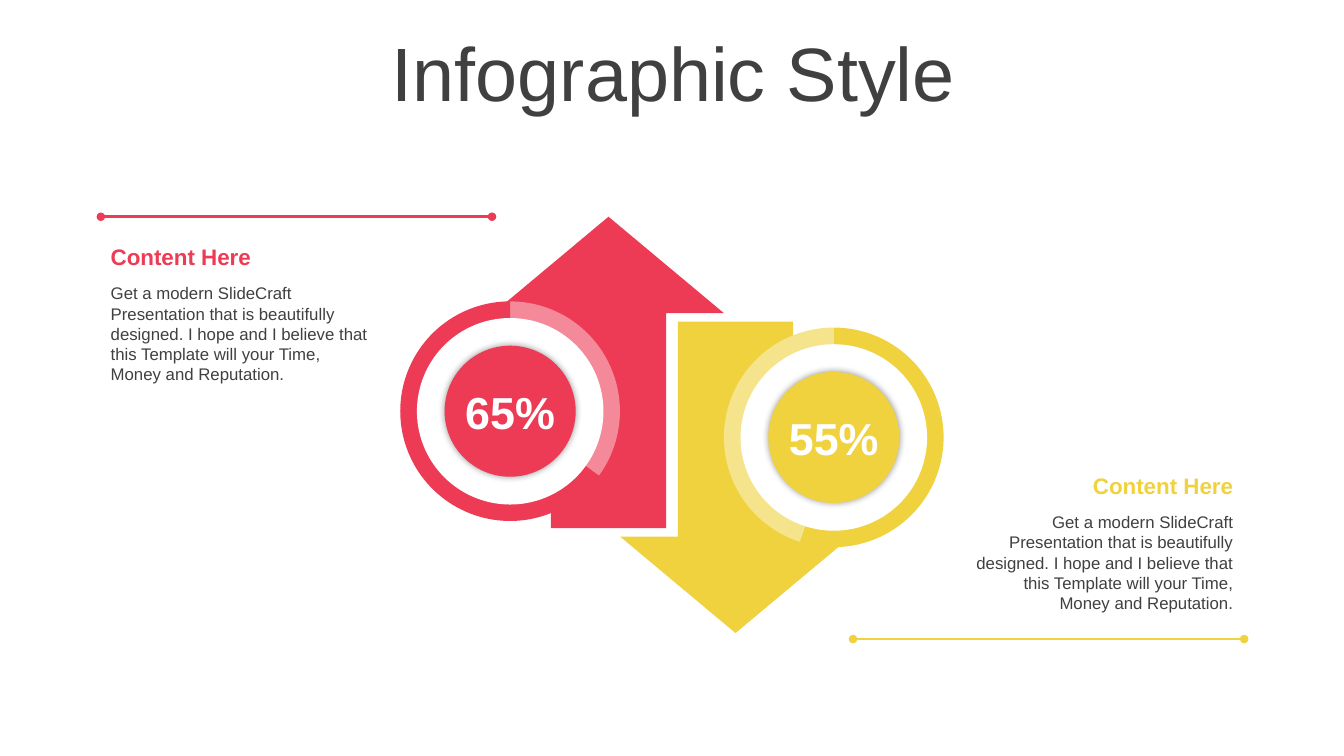
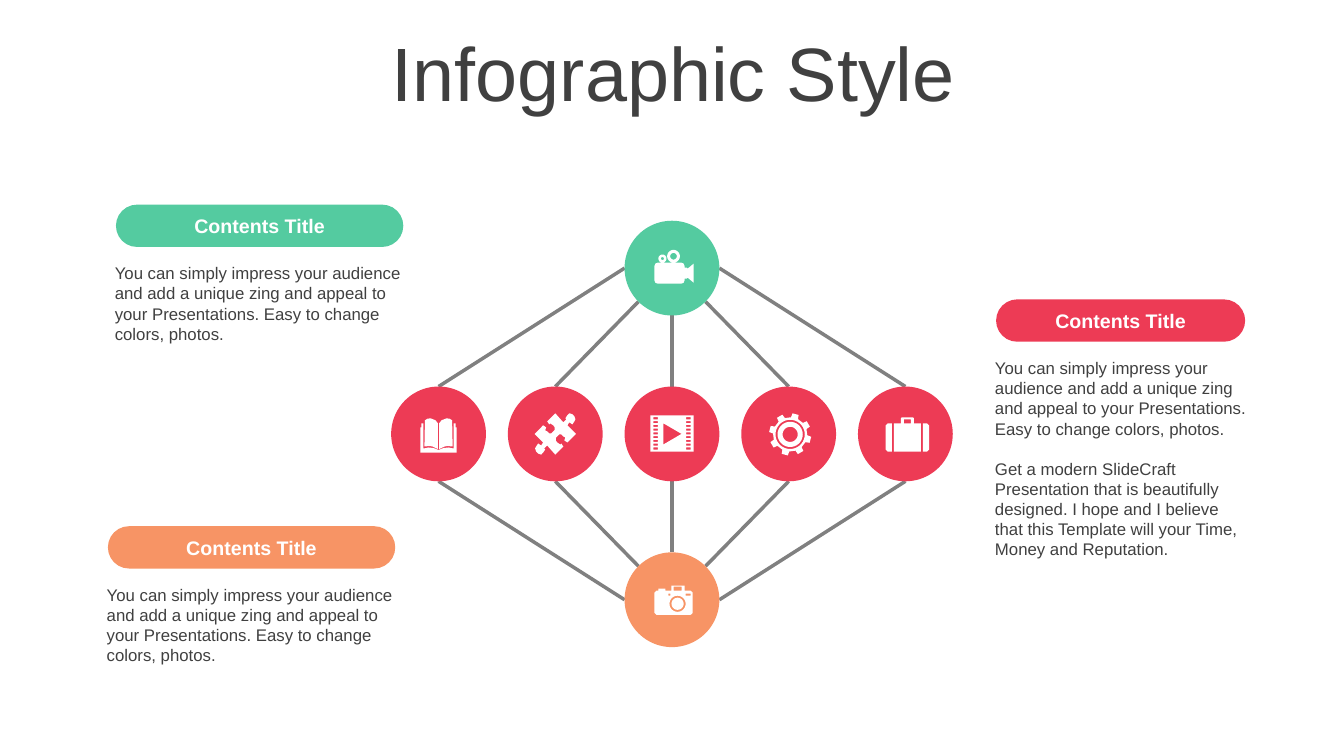
from math import cos, radians, sin

from lxml import etree
from pptx import Presentation
from pptx.chart.data import CategoryChartData
from pptx.dml.color import RGBColor
from pptx.enum.chart import XL_CHART_TYPE
from pptx.enum.shapes import MSO_CONNECTOR, MSO_SHAPE
from pptx.enum.text import MSO_ANCHOR, PP_ALIGN
from pptx.oxml import parse_xml
from pptx.oxml.ns import nsdecls, qn
from pptx.util import Inches, Pt

DOUGHNUT = XL_CHART_TYPE.DOUGHNUT
STRAIGHT = MSO_CONNECTOR.STRAIGHT
OVAL, PILL = MSO_SHAPE.OVAL, MSO_SHAPE.ROUNDED_RECTANGLE
UP_ARROW, DOWN_ARROW = MSO_SHAPE.UP_ARROW, MSO_SHAPE.DOWN_ARROW
LEFT, CENTER, RIGHT = PP_ALIGN.LEFT, PP_ALIGN.CENTER, PP_ALIGN.RIGHT
TOP, MIDDLE = MSO_ANCHOR.TOP, MSO_ANCHOR.MIDDLE

FONT = "Arial"
RED, PALE_RED = "ED3B55", "F48999"
YELLOW, PALE_YELLOW = "F0D23F", "F6E48C"
GREEN, ORANGE = "54CBA0", "F79465"
WHITE, BLACK, INK, GREY = "FFFFFF", "000000", "404040", "808080"

MODERN = ("Get a modern SlideCraft Presentation that is beautifully designed. "
          "I hope and I believe that this Template will your Time, Money and Reputation.")
IMPRESS = ("You can simply impress your audience and add a unique zing and appeal "
           "to your Presentations. Easy to change colors, photos.")


def rgb(value):
    """Turn a hex string into a colour."""
    return RGBColor.from_string(value)


def write(tf, *lines, size=12, color=INK, bold=False, align=LEFT, anchor=TOP, gap=0):
    """Fill a text frame with one paragraph per line."""
    tf.word_wrap = True
    tf.vertical_anchor = anchor
    for i, line in enumerate(lines):
        p = tf.paragraphs[0] if i == 0 else tf.add_paragraph()
        p.alignment = align
        p.space_before = Pt(gap if i else 0)
        r = p.add_run()
        r.text = line
        r.font.name, r.font.size, r.font.bold = FONT, Pt(size), bold
        r.font.color.rgb = rgb(color)


def text_box(s, l, t, w, h, *lines, **fmt):
    """Add a formatted text box."""
    sp = s.shapes.add_textbox(Inches(l), Inches(t), Inches(w), Inches(h))
    write(sp.text_frame, *lines, **fmt)


def paint(sp, color):
    """Give a shape a flat fill without line or shadow."""
    sp.fill.solid()
    sp.fill.fore_color.rgb = rgb(color)
    sp.line.fill.background()
    sp.shadow.inherit = False


def add_shape(s, kind, l, t, w, h, color):
    """Add a flat preset shape."""
    sp = s.shapes.add_shape(kind, Inches(l), Inches(t), Inches(w), Inches(h))
    paint(sp, color)
    return sp


def disc(s, cx, cy, d, color):
    """Add a circle around a centre."""
    return add_shape(s, OVAL, cx - d / 2, cy - d / 2, d, d, color)


def add_line(s, x1, y1, x2, y2, color, width, dots=False):
    """Add a straight line, with round ends if dots is set."""
    sp = s.shapes.add_connector(STRAIGHT, Inches(x1), Inches(y1), Inches(x2), Inches(y2))
    sp.line.color.rgb = rgb(color)
    sp.line.width = Pt(width)
    spPr = sp._element.spPr
    if dots:
        for end in ("a:headEnd", "a:tailEnd"):
            etree.SubElement(spPr.find(qn("a:ln")), qn(end), type="oval")
    etree.SubElement(spPr, qn("a:effectLst"))


def new_slide(prs, title):
    """Add a slide with the shared title."""
    s = prs.slides.add_slide(prs.slide_layouts[5])
    sp = s.shapes.title
    sp.left, sp.top, sp.width, sp.height = (Inches(v) for v in (0.35, 0.37, 12.66, 0.79))
    write(sp.text_frame, title, size=54, align=CENTER, anchor=MIDDLE)
    sp.text_frame.paragraphs[0].line_spacing = 0.9
    return s


def ring_chart(s, cx, cy, w, h, values, colors):
    """Add a doughnut chart around a centre."""
    data = CategoryChartData()
    data.categories = ["1", "2"]
    data.add_series("Series 1", values)
    chart = s.shapes.add_chart(DOUGHNUT, Inches(cx - w / 2), Inches(cy - h / 2),
                               Inches(w), Inches(h), data).chart
    chart.has_legend = chart.has_title = False
    chart.font.name, chart.font.size = FONT, Pt(18)
    chart.font.color.rgb = rgb(BLACK)
    plot = chart.plots[0]
    plot.vary_by_categories = True
    for i, color in enumerate(colors):
        fmt = plot.series[0].points[i].format
        fmt.fill.solid()
        fmt.fill.fore_color.rgb = rgb(color)
        fmt.line.fill.background()
    area = chart._chartSpace.chart.plotArea
    next(area.iter(qn("c:holeSize"))).set("val", "86")
    for old in area.findall(qn("c:layout")):
        area.remove(old)
    d = 2.18
    box = {"x": (1 - d / w) / 2, "y": (1 - d / h) / 2, "w": d / w, "h": d / h}
    layout = etree.Element(qn("c:layout"))
    manual = etree.SubElement(layout, qn("c:manualLayout"))
    etree.SubElement(manual, qn("c:layoutTarget"), val="inner")
    for key in "xy":
        etree.SubElement(manual, qn(f"c:{key}Mode"), val="edge")
    for key, value in box.items():
        etree.SubElement(manual, qn(f"c:{key}"), val=f"{value:.3f}")
    area.insert(0, layout)


def gauge(s, cx, cy, label, color, values, colors):
    """Add a ring chart with a labelled core."""
    ring_chart(s, cx, cy, 2.5, 2.46, values, colors)
    disc(s, cx, cy, 1.85, WHITE)
    core = disc(s, cx, cy, 1.3, color)
    core._element.spPr.find(qn("a:effectLst")).append(parse_xml(
        f'<a:outerShdw {nsdecls("a")} blurRad="{Pt(5)}" dist="0" dir="0" algn="ctr" '
        'rotWithShape="0"><a:srgbClr val="000000"><a:alpha val="40000"/></a:srgbClr>'
        '</a:outerShdw>'))
    tf = core.text_frame
    tf.margin_left = tf.margin_right = 0
    write(tf, label, size=32, color=WHITE, bold=True, align=CENTER, anchor=MIDDLE)
    tf.word_wrap = False


def big_arrow(s, kind, l, t, color):
    """Add one of the two interlocking arrows."""
    sp = add_shape(s, kind, l, t, 2.29, 3.09, color)
    sp.adjustments[0], sp.adjustments[1] = 0.5, 0.418


def callout(s, l, t, w, color, align):
    """Add a coloured heading over a paragraph."""
    text_box(s, l, t, w, 0.37, "Content Here", size=16, color=color, bold=True,
             align=align, anchor=MIDDLE)
    text_box(s, l, t + 0.4, w, 1.11, MODERN, align=align)


def arrows_slide(prs):
    """Build the slide of two arrows with gauges."""
    s = new_slide(prs, "Infographic Style")
    big_arrow(s, DOWN_ARROW, 6.15, 3.19, YELLOW)
    gauge(s, 8.27, 4.34, "55%", YELLOW, (55, 45), (YELLOW, PALE_YELLOW))
    big_arrow(s, UP_ARROW, 4.89, 2.15, RED)
    gauge(s, 5.06, 4.08, "65%", RED, (35, 65), (PALE_RED, RED))
    add_line(s, 8.46, 6.34, 12.34, 6.34, YELLOW, 2, dots=True)
    callout(s, 9.55, 4.63, 2.78, YELLOW, RIGHT)
    add_line(s, 1, 2.15, 4.88, 2.15, RED, 2, dots=True)
    callout(s, 1, 2.36, 2.76, RED, LEFT)


def polar(cx, cy, r, deg):
    """Give the point at an angle on a circle."""
    return cx + r * cos(radians(deg)), cy + r * sin(radians(deg))


def ring(cx, cy, r):
    """Give the outline of a circle."""
    return [polar(cx, cy, r, a) for a in range(0, 360, 10)]


def rect(l, t, w, h):
    """Give the outline of a rectangle."""
    return [(l, t), (l + w, t), (l + w, t + h), (l, t + h)]


def mirror(points, sx=-1, sy=1):
    """Reflect an outline about the icon centre."""
    return [(sx * x, sy * y) for x, y in points]


def book():
    """Outline an open book."""
    page = [(-13.5, -13.5), (-11, -15), (-8, -15.5), (-3, -13.5), (-0.6, -10.5),
            (-0.6, 15), (-6, 12.5), (-9, 12), (-14, 12.5)]
    cover = [(-18, -6.5), (-17, -6.5), (-17, -10.5), (-15, -10.5), (-15, 14.5),
             (-10, 13.5), (-5, 14), (0, 16), (0, 18.5), (-18, 18.5)]
    return [page, mirror(page), cover, mirror(cover)]


def puzzle():
    """Outline a puzzle piece."""
    half = [(0, -20.5), (8, -11.5), (11, -14.5), (10, -15.5), (12, -18.5), (14, -20.5),
            (17, -19.5), (19, -17.5), (20, -14.5), (19, -12.5), (17, -9.5), (14, -11.5),
            (12, -8.5), (20.5, 0), (12, 8.5), (9, 6.5), (10, 3.5), (8, 2.5), (6, 0.5),
            (4, 0.5), (2, 2.5), (0.5, 4), (0.5, 6.5), (2, 8.5), (5, 10.5), (6, 9.5),
            (8, 12.5)]
    return [half + mirror(half, -1, -1)]


def film():
    """Outline a film frame with a play mark."""
    holes = [rect(x, -16.5 + 3.75 * i, 4.5, 2) for x in (-18.5, 14) for i in range(9)]
    return [rect(-21.5, -18.5, 43, 36), [(-8.5, -10.5), (-8.5, 10.5), (9.5, 0)], *holes]


def gear():
    """Outline a gear wheel of eight teeth."""
    cx, cy = 1.5, 0.5
    teeth = [polar(cx, cy, r, 15 + 45 * i + a) for i in range(8)
             for r, a in ((17, -12), (21, -8.5), (21, 8.5), (17, 12))]
    return [teeth] + [ring(cx, cy, r) for r in (14.5, 12.5, 7.5)]


def briefcase():
    """Outline a briefcase."""
    side = [(-15.5, -10.5), (-19.5, -10.5), (-21.5, -8.5), (-21.5, 15.5), (-19.5, 17.5),
            (-15.5, 17.5)]
    handle = [(-6.5, -10.5), (-6.5, -15.5), (-5.5, -16.5), (5.5, -16.5), (6.5, -15.5),
              (6.5, -10.5)]
    parts = [side, mirror(side), handle, rect(-3.5, -14.5, 7, 4), rect(-13.5, -10.5, 27, 28)]
    return [[(x + 2, y) for x, y in part] for part in parts]


def video():
    """Outline a film camera."""
    body = [(-17.5, -2), (-16.5, -4.5), (-14, -5.5), (9, -5.5), (11.5, -4.5), (12.5, -2),
            (12.5, -0.5), (14.5, -0.5), (15.5, 0.5), (21.5, -4.5), (21.5, 14.5), (15.5, 9.5),
            (14.5, 10.5), (12.5, 10.5), (12.5, 12), (11.5, 14.5), (9, 15.5), (-14, 15.5),
            (-16.5, 14.5), (-17.5, 12)]
    reels = [ring(-9.5, -9.5, r) for r in (4, 1.5)] + [ring(1.5, -11.8, r) for r in (6.3, 3.3)]
    return [body, *reels]


def camera():
    """Outline a photo camera."""
    body = [(-17.5, -7), (-15.5, -9), (-13.5, -9), (-13.5, -11), (-6.5, -11), (-6.5, -9),
            (-0.5, -9), (-0.5, -14), (12.5, -14), (12.5, -9), (18.5, -9), (20.5, -7),
            (20.5, 13), (18.5, 15), (-15.5, 15), (-17.5, 13)]
    return [body, ring(5.5, 4, 8), ring(5.5, 4, 6), rect(-3.5, -6, 2, 2),
            rect(13.5, -6, 5, 2), rect(1.5, -13, 8, 4)]


def add_icon(s, cx, cy, outlines):
    """Draw outlines given in hundredths of an inch around a centre."""
    fb = None
    for outline in outlines:
        (x, y), *rest = [(100 * px, 100 * py) for px, py in outline]
        if fb is None:
            fb = s.shapes.build_freeform(x, y, scale=Inches(1) / 10000)
        else:
            fb.move_to(x, y)
        fb.add_line_segments(rest, close=True)
    paint(fb.convert_to_shape(Inches(cx), Inches(cy)), WHITE)


def network(s, l, t, w, h):
    """Link a row of icon circles to a hub above and a hub below."""
    d = 0.94
    icons = (book, puzzle, film, gear, briefcase)
    step = (w - d) / (len(icons) - 1)
    cx, cy = l + w / 2, t + h / 2
    nodes = [(l + d / 2 + i * step, cy, RED, icon) for i, icon in enumerate(icons)]
    hubs = [(cx, t + d / 2, GREEN, video), (cx, t + h - d / 2, ORANGE, camera)]
    for (hx, hy, *_), side in zip(hubs, (1, -1)):
        for i, (x, y, *_) in enumerate(nodes):
            add_line(s, x, y - side * d / 2, *polar(hx, hy, d / 2, side * (180 - 45 * i)),
                     GREY, 2.5)
    for x, y, color, icon in nodes + hubs:
        disc(s, x, y, d, color)
        add_icon(s, x, y, icon())


def pill_note(s, l, t, w, h, color, *lines):
    """Add a pill heading with text below it."""
    sp = add_shape(s, PILL, l, t, w, 0.42, color)
    sp.adjustments[0] = 0.5
    write(sp.text_frame, "Contents Title", size=14, color=WHITE, bold=True,
          align=CENTER, anchor=MIDDLE)
    text_box(s, l - 0.11, t + 0.53, w + 0.23, h, *lines, gap=14.4)


def network_slide(prs):
    """Build the slide of linked icons."""
    s = new_slide(prs, "Infographic Style")
    network(s, 3.88, 2.19, 5.57, 4.23)
    pill_note(s, 1.07, 5.22, 2.85, 0.91, ORANGE, IMPRESS)
    pill_note(s, 1.15, 2.03, 2.85, 0.91, GREEN, IMPRESS)
    pill_note(s, 9.88, 2.97, 2.47, 2.12, RED, IMPRESS, MODERN)


def main():
    """Build and save the presentation."""
    prs = Presentation()
    prs.slide_width, prs.slide_height = Inches(13.33), Inches(7.5)
    arrows_slide(prs)
    network_slide(prs)
    prs.save("out.pptx")


if __name__ == "__main__":
    main()
